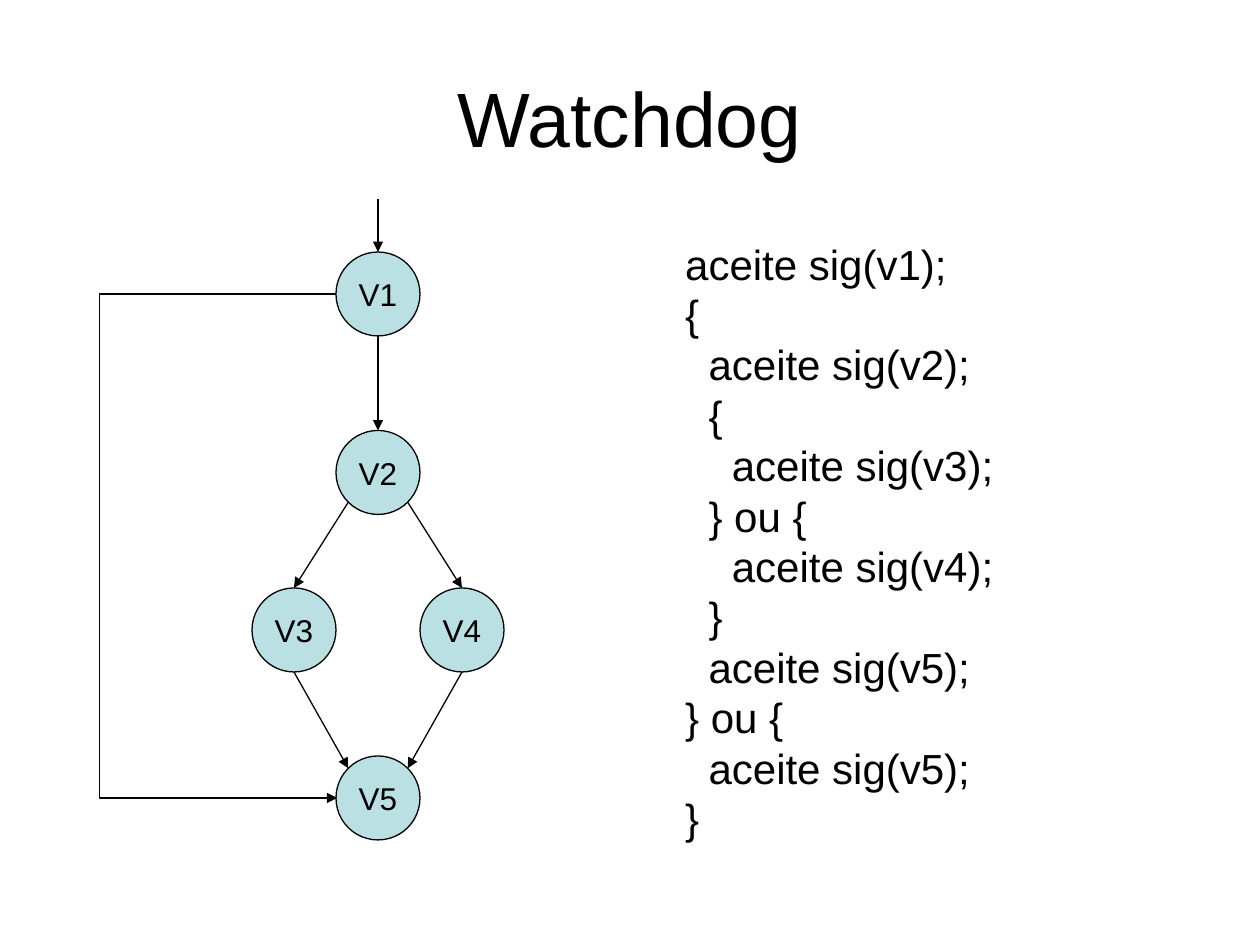
"""Build the Watchdog slide: a state graph beside its code."""
from math import cos, radians, sin

from lxml.etree import SubElement
from pptx import Presentation
from pptx.dml.color import RGBColor
from pptx.enum.shapes import MSO_CONNECTOR, MSO_SHAPE
from pptx.enum.text import MSO_ANCHOR, PP_ALIGN
from pptx.oxml.ns import qn
from pptx.util import Inches, Mm, Pt

TITLE = "Watchdog"
SIZE = 2 / 3
INK, TEAL = "000000", "BBE0E3"
NODES = {
    "V1": (3, 7 / 3),
    "V2": (3, 3.75),
    "V3": (3 - SIZE, 5),
    "V4": (3 + SIZE, 5),
    "V5": (3, 19 / 3),
}
UP, DOWN, LEFT = -90, 90, 180
EDGES = [
    ("V1", DOWN, "V2", UP),
    ("V2", 135, "V3", UP),
    ("V2", 45, "V4", UP),
    ("V4", DOWN, "V5", -45),
    ("V3", DOWN, "V5", -135),
]
ENTRY = (3, 1.58)
LOOP = 0.79
CODE = [
    (0, "aceite sig(v1);"),
    (0, "{"),
    (1, "aceite sig(v2);"),
    (1, "{"),
    (2, "aceite sig(v3);"),
    (1, "} ou {"),
    (2, "aceite sig(v4);"),
    (1, "}"),
    (1, "aceite sig(v5);"),
    (0, "} ou {"),
    (1, "aceite sig(v5);"),
    (0, "}"),
]


def color(code):
    return RGBColor.from_string(code)


def style(para, size, align):
    para.alignment = align
    para.font.size = Pt(size)
    para.font.name = "Arial"
    para.font.color.rgb = color(INK)


def rim(name, angle):
    x, y = NODES[name]
    turn = radians(angle)
    return x + SIZE / 2 * cos(turn), y + SIZE / 2 * sin(turn)


def arrow(slide, start, end, kind=MSO_CONNECTOR.STRAIGHT):
    link = slide.shapes.add_connector(kind, *map(Inches, start + end))
    link.line.color.rgb = color(INK)
    link.line.width = Pt(0.75)
    SubElement(link.line._get_or_add_ln(), qn("a:tailEnd"), type="triangle")
    SubElement(link._element.spPr, qn("a:effectLst"))
    return link


def loop(slide):
    start, (x, y) = rim("V1", LEFT), rim("V5", LEFT)
    gap = Mm(0.25).inches
    link = arrow(slide, start, (x + gap, y), MSO_CONNECTOR.ELBOW)
    bend = round((LOOP - x) / gap * 100000)
    geom = link._element.spPr.find(qn("a:prstGeom"))
    SubElement(geom.find(qn("a:avLst")), qn("a:gd"), name="adj1", fmla=f"val {bend}")


def node(slide, name):
    x, y = NODES[name]
    box = [Inches(v) for v in (x - SIZE / 2, y - SIZE / 2, SIZE, SIZE)]
    disc = slide.shapes.add_shape(MSO_SHAPE.OVAL, *box)
    disc.shadow.inherit = False
    disc.fill.solid()
    disc.fill.fore_color.rgb = color(TEAL)
    disc.line.color.rgb = color(INK)
    disc.line.width = Pt(0.75)
    frame = disc.text_frame
    frame.word_wrap = False
    frame.vertical_anchor = MSO_ANCHOR.MIDDLE
    frame.text = name
    style(frame.paragraphs[0], 18, PP_ALIGN.CENTER)


def code(slide):
    box = slide.shapes.add_textbox(*map(Inches, (5.34, 1.84, 2.7, 4.9)))
    frame = box.text_frame
    frame.word_wrap = True
    frame.text = "\n".join(text for _, text in CODE)
    for para, (depth, _) in zip(frame.paragraphs, CODE):
        style(para, 24, PP_ALIGN.LEFT)
        para.line_spacing = Pt(28.8)
        para._p.get_or_add_pPr().set("marL", str(Pt(13.34 * depth)))


def main():
    deck = Presentation()
    deck.slide_width, deck.slide_height = Inches(10), Inches(7.5)
    slide = deck.slides.add_slide(deck.slide_layouts[5])
    title = slide.shapes.title
    title.left, title.top, title.width, title.height = map(Inches, (0.5, 0.3, 9, 1.25))
    title.text_frame.text = TITLE
    title.text_frame.vertical_anchor = MSO_ANCHOR.MIDDLE
    style(title.text_frame.paragraphs[0], 44, PP_ALIGN.CENTER)
    for name in NODES:
        node(slide, name)
    for tail, out, head, into in EDGES:
        arrow(slide, rim(tail, out), rim(head, into))
    loop(slide)
    arrow(slide, ENTRY, rim("V1", UP))
    code(slide)
    deck.save("out.pptx")


if __name__ == "__main__":
    main()
